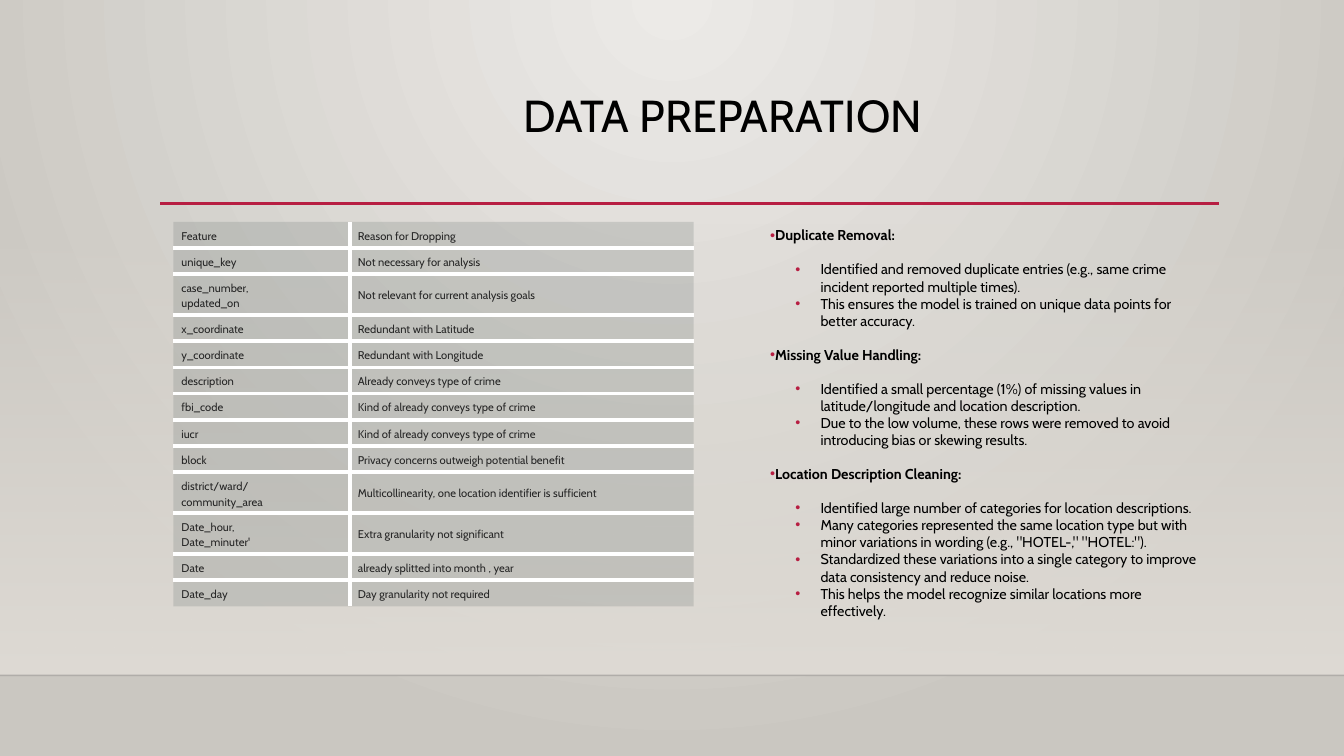
from lxml.etree import SubElement as Sub
from pptx import Presentation
from pptx.dml.color import RGBColor as RGB
from pptx.enum.shapes import MSO_CONNECTOR as Conn, MSO_SHAPE as Shape
from pptx.enum.text import MSO_ANCHOR as Anchor
from pptx.oxml.ns import qn
from pptx.util import Emu, Inches, Pt

WIDE, HIGH = 13.33, 7.5
FONT = "Cabin"
HEX = {"light": "ECEAE7", "dark": "CAC7C1", "wall": "DFDBD5", "edge": "000001",
       "red": "B71E42", "text": "000000", "cell": "878E8B", "ink": "262626",
       "grid": "FFFFFF"}
COLS = (1.75, 3.41)
ROW, TALL = 0.26, 0.4
ROWS = [
    (["Feature"], "Reason for Dropping"),
    (["unique_key"], "Not necessary for analysis"),
    (["case_number,", "updated_on"], "Not relevant for current analysis goals"),
    (["x_coordinate"], "Redundant with Latitude"),
    (["y_coordinate"], "Redundant with Longitude"),
    (["description"], "Already conveys type of crime"),
    (["fbi_code"], "Kind of already conveys type of crime"),
    (["iucr"], "Kind of already conveys type of crime"),
    (["block"], "Privacy concerns outweigh potential benefit"),
    (["district/ward/", "community_area"],
     "Multicollinearity, one location identifier is sufficient"),
    (["Date_hour,\nDate_minuter'"], "Extra granularity not significant"),
    (["Date"], "already splitted into month , year"),
    (["Date_day"], "Day granularity not required"),
]
MIDDLE = {2, 9, 10, 11, 12}
NOTES = [
    ("Duplicate Removal:", [
        "Identified and removed duplicate entries (e.g., same crime incident "
        "reported multiple times).",
        "This ensures the model is trained on unique data points for better "
        "accuracy."]),
    ("Missing Value Handling:", [
        "Identified a small percentage (1%) of missing values in "
        "latitude/longitude and location description.",
        "Due to the low volume, these rows were removed to avoid introducing "
        "bias or skewing results."]),
    ("Location Description Cleaning:", [
        "Identified large number of categories for location descriptions.",
        "Many categories represented the same location type but with minor "
        'variations in wording (e.g., "HOTEL-," "HOTEL:").',
        "Standardized these variations into a single category to improve data "
        "consistency and reduce noise.",
        "This helps the model recognize similar locations more effectively."]),
]


def color(node, name, alpha=100):
    """Add a colour with its opacity to an XML node."""
    tint = Sub(node, qn("a:srgbClr"), val=HEX[name])
    if alpha < 100:
        Sub(tint, qn("a:alpha"), val=str(alpha * 1000))


def blend(owner, fill, stops):
    """Give a fill two colour stops and return its emptied gradient node."""
    fill.gradient()
    node = owner.find(".//" + qn("a:gradFill"))
    for kid in list(node):
        node.remove(kid)
    group = Sub(node, qn("a:gsLst"))
    for pos, (name, alpha) in zip((0, 100000), stops):
        color(Sub(group, qn("a:gs"), pos=str(pos)), name, alpha)
    return node


def add_run(para, text, size, name, bold=False):
    """Add one styled run to a paragraph."""
    run = para.add_run()
    run.text = text
    font = run.font
    font.name, font.size, font.bold = FONT, Pt(size), bold
    font.color.rgb = RGB.from_string(HEX[name])


def indent(para, left, first):
    """Set the left margin and first-line indent of a paragraph."""
    props = para._p.get_or_add_pPr()
    props.set("marL", str(Inches(left)))
    props.set("indent", str(Inches(first)))
    return props


def add_line(slide, left, top, wide, name, weight, alpha=100):
    """Draw a level line."""
    line = slide.shapes.add_connector(
        Conn.STRAIGHT, *map(Inches, (left, top, left + wide, top)))
    line.line.width = Pt(weight)
    line.line.fill.solid()
    line.line.color.rgb = RGB.from_string(HEX[name])
    if alpha < 100:
        tint = line.element.find(".//" + qn("a:srgbClr"))
        Sub(tint, qn("a:alpha"), val=str(alpha * 1000))
    Sub(line.element.spPr, qn("a:effectLst"))


def add_box(slide, box):
    """Add a wrapping text box and return its frame."""
    frame = slide.shapes.add_textbox(*map(Inches, box)).text_frame
    frame.word_wrap = True
    return frame


def add_room(slide, top, floor):
    """Paint the backdrop, the wall and the floor edge."""
    node = blend(slide.element, slide.background.fill,
                 [("light", 100), ("dark", 100)])
    ring = Sub(node, qn("a:path"))
    ring.set("path", "circle")
    Sub(ring, qn("a:fillToRect"), l="43000", r="43000", b="100000")
    wall = slide.shapes.add_shape(
        Shape.RECTANGLE, 0, Inches(top), Inches(WIDE), Inches(floor - top))
    wall.shadow.inherit = False
    wall.line.fill.background()
    node = blend(wall.element.spPr, wall.fill, [("wall", 0), ("wall", 100)])
    Sub(node, qn("a:lin"), ang="5400000", scaled="0")
    add_line(slide, 0, floor, WIDE, "edge", 1, 20)


def add_title(slide, box):
    """Write the title with the red rule near the foot of its box."""
    left, top, wide, high = box
    add_line(slide, left, top + high - 0.01, wide, "red", 2.5)
    para = add_box(slide, box).paragraphs[0]
    indent(para, 3, 0.5)
    para.line_spacing = 0.9
    add_run(para, "DATA PREPARATION", 32, "text")


def add_notes(slide, box):
    """Write headed bullet groups into the box."""
    frame = add_box(slide, box)
    lines = []
    for head, items in NOTES:
        lines += [(head, 0, 12, True)]
        lines += [(item, 0.5, 0 if n else 12, False)
                  for n, item in enumerate(items)]
    for n, (text, left, gap, bold) in enumerate(lines):
        para = frame.add_paragraph() if n else frame.paragraphs[0]
        para.space_before = Pt(gap if n else 0)
        props = indent(para, left, -0.25)
        color(Sub(props, qn("a:buClr")), "red")
        Sub(props, qn("a:buFont"), typeface="Arial")
        Sub(props, qn("a:buChar"), char="•")
        add_run(para, text, 10.2, "text", bold)


def style_cell(cell, row, col):
    """Set the translucent fill, inner borders and insets of a cell."""
    cell.margin_left = Inches(0.08)
    cell.margin_right = cell.margin_top = cell.margin_bottom = Inches(0.05)
    mid = col and row in MIDDLE
    cell.vertical_anchor = Anchor.MIDDLE if mid else Anchor.BOTTOM
    props = cell._tc.get_or_add_tcPr()
    inner = {"L": col, "R": not col, "T": row, "B": row < len(ROWS) - 1}
    for side, shown in inner.items():
        edge = Sub(props, qn("a:ln" + side), w=str(Pt(3)))
        if shown:
            color(Sub(edge, qn("a:solidFill")), "grid")
        else:
            Sub(edge, qn("a:noFill"))
    color(Sub(props, qn("a:solidFill")), "cell", 30)


def add_grid(slide, left, top):
    """Build the table of dropped features."""
    highs = [TALL if len(" ".join(names).split()) > 1 or len(names) > 1 else ROW
             for names, _ in ROWS]
    table = slide.shapes.add_table(
        len(ROWS), len(COLS),
        *map(Inches, (left, top, sum(COLS), sum(highs)))).table
    table.first_row = table.horz_banding = False
    for col, wide in zip(table.columns, COLS):
        col.width = Inches(wide)
    for r, (names, reason) in enumerate(ROWS):
        table.rows[r].height = Emu(Inches(highs[r]))
        for c, paras in enumerate((names, [reason])):
            cell = table.cell(r, c)
            style_cell(cell, r, c)
            frame = cell.text_frame
            for n, text in enumerate(paras):
                para = frame.add_paragraph() if n else frame.paragraphs[0]
                para.line_spacing = 1.15
                for k, part in enumerate(text.split("\n")):
                    if k:
                        para.add_line_break()
                    add_run(para, part, 8, "ink")


def main():
    """Build and save the slide."""
    deck = Presentation()
    deck.slide_width, deck.slide_height = Inches(WIDE), Inches(HIGH)
    slide = deck.slides.add_slide(deck.slide_layouts[6])
    add_room(slide, 2.21, 6.7)
    add_title(slide, (1.59, 0.88, 10.5, 1.15))
    add_notes(slide, (7.54, 2.2, 4.55, 3.96))
    add_grid(slide, 1.72, 2.2)
    deck.save("out.pptx")


if __name__ == "__main__":
    main()
